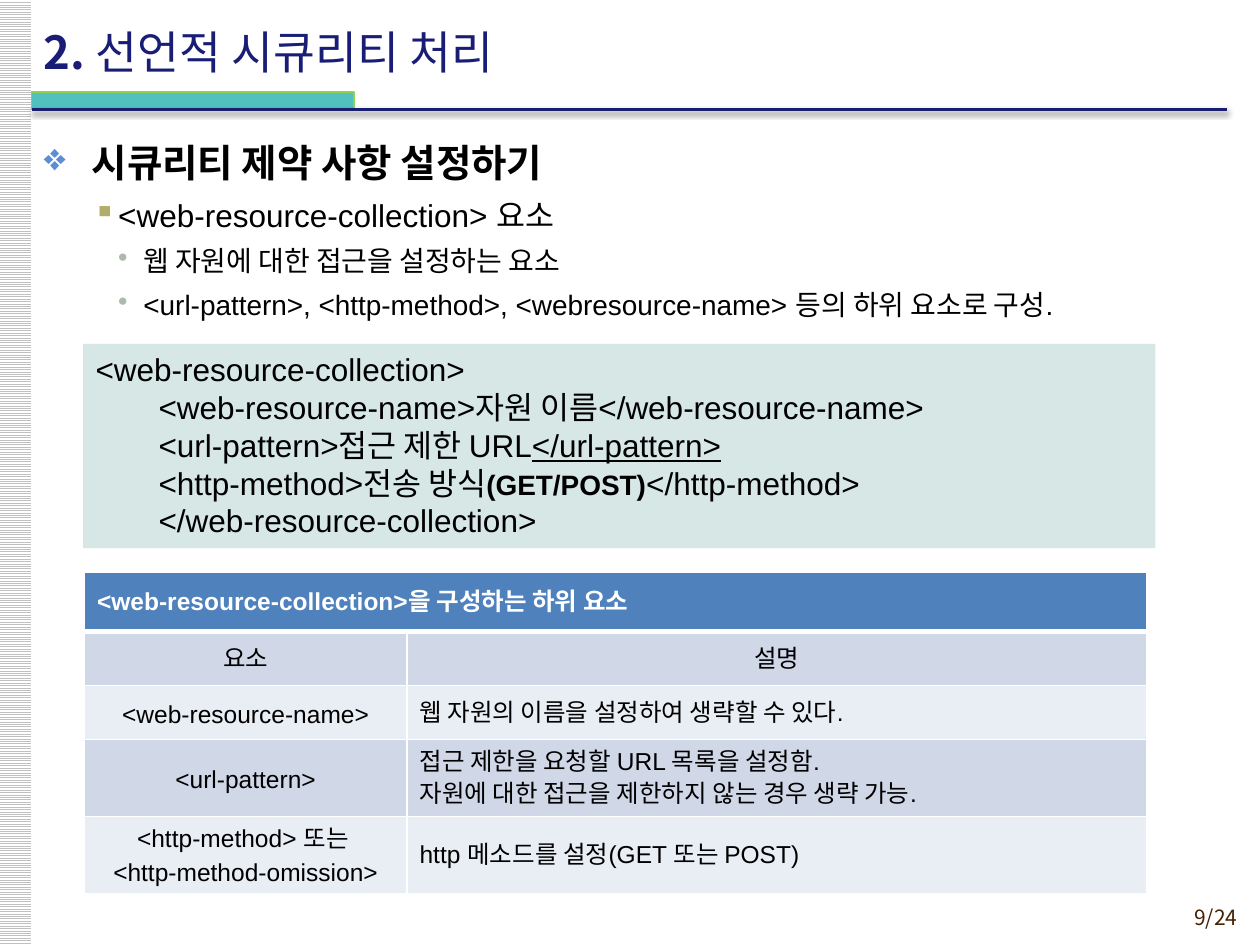
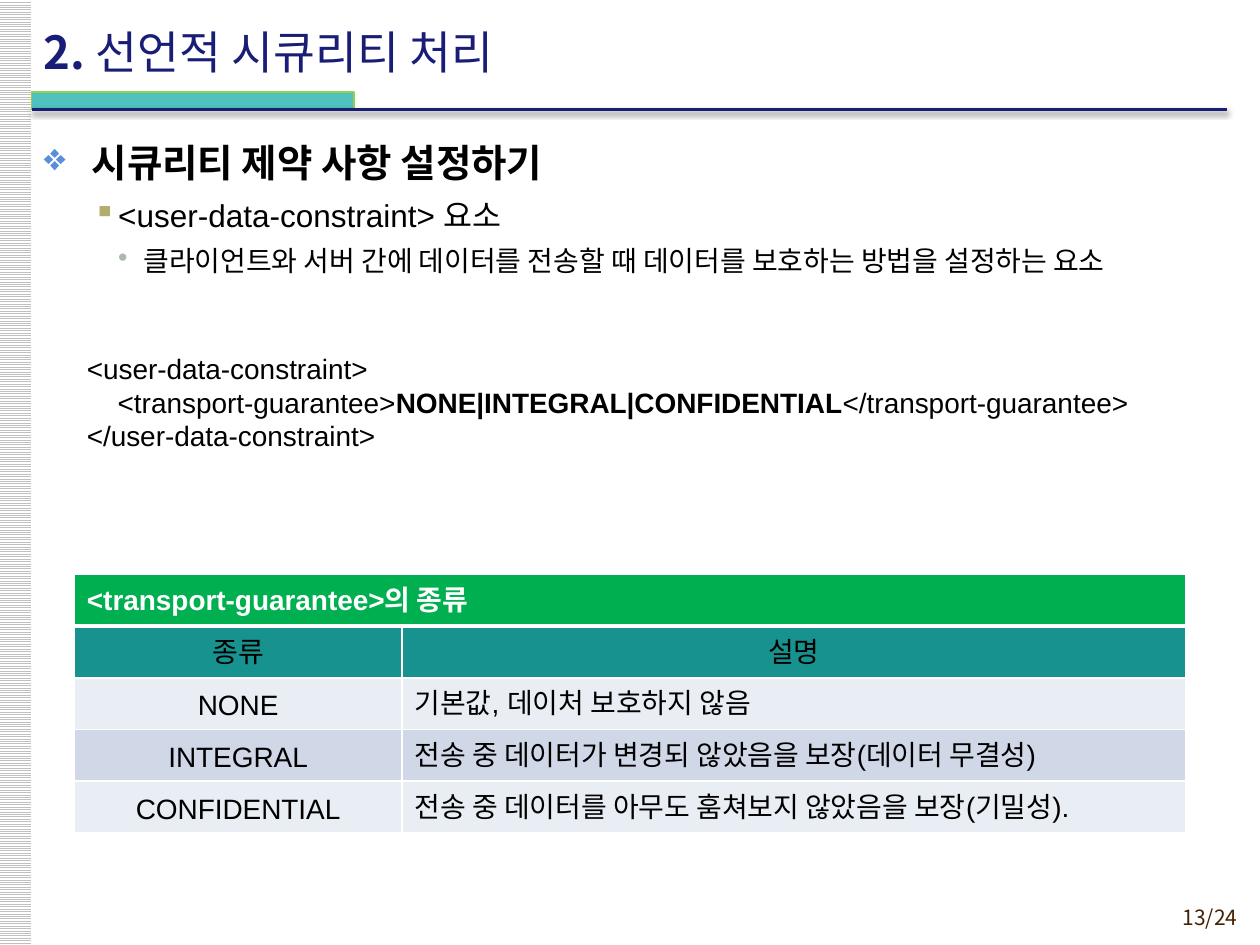
"""Build two slides on declarative security: shared frame, outline, code sample and element table."""
from dataclasses import dataclass
from typing import Optional, Sequence, Union

from lxml.etree import SubElement
from pptx import Presentation
from pptx.dml.color import RGBColor
from pptx.enum.dml import MSO_PATTERN
from pptx.enum.shapes import MSO_CONNECTOR, MSO_SHAPE
from pptx.enum.text import MSO_ANCHOR as Anchor, PP_ALIGN as Align
from pptx.oxml.ns import qn
from pptx.util import Emu, Pt

PX = 9144
LATIN, KOREAN = "Arial", "Noto Sans CJK KR"
BLACK, WHITE, NAVY, BROWN = "000000", "FFFFFF", "191D76", "452103"
TEAL, LIME, RULE, STRIPE = "50C1BE", "92D050", "191E70", "C0C0C0"
CODE_FILL = "D6E7E6"
ROW_LIGHT, ROW_DARK = "E9EDF4", "D0D8E8"
LOOSE, TIGHT = 1.3, 1.2


@dataclass(frozen=True)
class Run:
    text: str
    bold: bool = False
    underline: bool = False
    size: Optional[float] = None


@dataclass(frozen=True)
class Level:
    bullet: str
    color: str
    size: int
    margin: int
    hang: int
    bold: bool = False


@dataclass(frozen=True)
class Box:
    left: int
    top: int
    width: int
    height: int

    def emu(self) -> tuple:
        return tuple(px(n) for n in (self.left, self.top, self.width, self.height))


@dataclass(frozen=True)
class CodeLine:
    runs: tuple
    indent: int = 0


@dataclass(frozen=True)
class Code:
    box: Box
    lines: tuple
    size: int
    fill: Optional[str] = None


@dataclass(frozen=True)
class ElementTable:
    box: Box
    columns: tuple
    heights: tuple
    caption: str
    caption_fill: str
    head_fill: str
    size: int
    rows: tuple


@dataclass(frozen=True)
class Page:
    number: str
    outline: tuple
    code: Code
    table: ElementTable


Text = Union[str, Sequence[Run]]

LEVELS = (
    Level("❖", "5A8DDC", 22, 38, 38, bold=True),
    Level("▪", "B1AE6B", 18, 59, 20),
    Level("•", "ADB9AD", 16, 79, 20),
)


def px(length: int) -> Emu:
    """Turn px into EMU."""
    return Emu(length * PX)


def rgb(value: str) -> RGBColor:
    """Turn a hex string into a colour."""
    return RGBColor.from_string(value)


def write(frame, text: Text, *, size: float, color: str = BLACK, bold: bool = False,
          latin: str = LATIN, align=Align.LEFT, spacing: Optional[float] = None,
          margin: int = 0, level: Optional[Level] = None) -> None:
    """Add one formatted paragraph to a text frame, reusing its empty first one."""
    first = not frame.paragraphs[0].runs
    paragraph = frame.paragraphs[0] if first else frame.add_paragraph()
    properties = paragraph._p.get_or_add_pPr()
    properties.set("marL", str(px(level.margin if level else margin)))
    properties.set("indent", str(px(-level.hang if level else 0)))
    if level:
        tint = SubElement(properties, qn("a:buClr"))
        SubElement(tint, qn("a:srgbClr"), val=level.color)
        SubElement(properties, qn("a:buChar"), char=level.bullet)
        paragraph.space_before = Pt(0 if first else size * 0.2)
        paragraph.space_after = Pt(1)
    paragraph.alignment = align
    if spacing:
        paragraph.line_spacing = Pt(round(size * spacing, 1))
    for part in [Run(text, bold)] if isinstance(text, str) else text:
        run = paragraph.add_run()
        run.text = part.text
        font = run.font
        font.name, font.size = latin, Pt(part.size or size)
        font.bold, font.underline = part.bold, part.underline
        font.color.rgb = rgb(color)
        SubElement(run._r.get_or_add_rPr(), qn("a:ea"), typeface=KOREAN)


def text_frame(slide, box: Box, anchor=Anchor.TOP):
    """Add a wrapping text box and return its frame."""
    frame = slide.shapes.add_textbox(*box.emu()).text_frame
    frame.word_wrap = True
    frame.vertical_anchor = anchor
    return frame


def rectangle(slide, box: Box, fill: Optional[str] = None, line: Optional[str] = None):
    """Add a flat rectangle, with a thin outline if a line colour is given."""
    shape = slide.shapes.add_shape(MSO_SHAPE.RECTANGLE, *box.emu())
    shape.shadow.inherit = False
    if fill:
        shape.fill.solid()
        shape.fill.fore_color.rgb = rgb(fill)
    if line:
        shape.line.color.rgb = rgb(line)
        shape.line.width = Pt(0.75)
    else:
        shape.line.fill.background()
    return shape


def draw_frame(slide, number: str) -> None:
    """Draw the striped margin, title, title rule and page number."""
    stripes = rectangle(slide, Box(-1, 0, 26, 750)).fill
    stripes.patterned()
    stripes.pattern = MSO_PATTERN.LIGHT_HORIZONTAL
    stripes.fore_color.rgb, stripes.back_color.rgb = rgb(STRIPE), rgb(WHITE)

    write(text_frame(slide, Box(886, 713, 106, 29)), number,
          size=12, color=BROWN, latin=KOREAN, align=Align.RIGHT)

    rectangle(slide, Box(25, 73, 256, 14), TEAL, LIME)
    rule = slide.shapes.add_connector(
        MSO_CONNECTOR.STRAIGHT, px(25), px(87), px(974), px(87))
    rule.line.color.rgb = rgb(RULE)
    rule.line.width = Pt(2)
    effects = SubElement(rule._element.spPr, qn("a:effectLst"))
    shadow = SubElement(effects, qn("a:outerShdw"), blurRad=str(Pt(3.1)),
                        dist=str(Pt(1.6)), dir="5400000", rotWithShape="0")
    shade = SubElement(shadow, qn("a:srgbClr"), val=BLACK)
    SubElement(shade, qn("a:alpha"), val="38000")

    write(text_frame(slide, Box(25, 9, 827, 63), Anchor.MIDDLE),
          (Run("2. ", bold=True), Run("선언적 시큐리티 처리")),
          size=26, color=NAVY, latin=KOREAN)


def draw_outline(slide, outline: tuple) -> None:
    """Write the bulleted outline; each entry is a depth and its text."""
    frame = text_frame(slide, Box(25, 102, 950, 625))
    for depth, text in outline:
        level = LEVELS[depth]
        write(frame, text, size=level.size, bold=level.bold, spacing=LOOSE, level=level)


def draw_code(slide, code: Code) -> None:
    """Write the code sample, on a tinted panel if it has a fill."""
    if code.fill:
        frame = rectangle(slide, code.box, code.fill).text_frame
        frame.word_wrap = True
        frame.vertical_anchor = Anchor.TOP
    else:
        frame = text_frame(slide, code.box)
    for line in code.lines:
        write(frame, line.runs, size=code.size, spacing=TIGHT, margin=line.indent)


def style_cell(cell, fill: str, bottom: float = 1) -> None:
    """Give a cell white borders, a fill and middle anchoring."""
    properties = cell._tc.get_or_add_tcPr()
    for side, width in (("L", 1), ("R", 1), ("T", 1), ("B", bottom)):
        border = SubElement(properties, qn(f"a:ln{side}"), w=str(Pt(width)))
        SubElement(SubElement(border, qn("a:solidFill")), qn("a:srgbClr"), val=WHITE)
    cell.fill.solid()
    cell.fill.fore_color.rgb = rgb(fill)
    cell.vertical_anchor = Anchor.MIDDLE


def draw_table(slide, spec: ElementTable) -> None:
    """Draw a captioned two-column table with alternating rows."""
    table = slide.shapes.add_table(
        len(spec.heights), len(spec.columns), *spec.box.emu()).table
    for column, width in zip(table.columns, spec.columns):
        column.width = px(width)
    for row, height in zip(table.rows, spec.heights):
        row.height = px(height)

    caption = table.cell(0, 0)
    caption.merge(table.cell(0, 1))
    for cell in table.rows[0].cells:
        style_cell(cell, spec.caption_fill, bottom=3)
    write(caption.text_frame, spec.caption, size=spec.size, color=WHITE,
          bold=True, spacing=LOOSE)

    for r, texts in enumerate(spec.rows, start=1):
        fill = spec.head_fill if r == 1 else (ROW_DARK if r % 2 else ROW_LIGHT)
        for c, text in enumerate(texts):
            cell = table.cell(r, c)
            style_cell(cell, fill)
            centred = r == 1 or c == 0
            for line in text.split("\n"):
                write(cell.text_frame, line, size=spec.size, spacing=LOOSE,
                      align=Align.CENTER if centred else Align.LEFT)


HEADING = (0, "시큐리티 제약 사항 설정하기")

PAGES = (
    Page(
        "9/24",
        (HEADING,
         (1, "<web-resource-collection> 요소"),
         (2, "웹 자원에 대한 접근을 설정하는 요소"),
         (2, "<url-pattern>, <http-method>, <webresource-name> 등의 하위 요소로 구성.")),
        Code(Box(66, 273, 851, 162), (
            CodeLine((Run("<web-resource-collection>"),)),
            CodeLine((Run("<web-resource-name>자원 이름</web-resource-name>"),), 50),
            CodeLine((Run("<url-pattern>접근 제한 URL"),
                      Run("</url-pattern>", underline=True)), 50),
            CodeLine((Run("<http-method>전송 방식"),
                      Run("(GET/POST)", bold=True, size=16),
                      Run("</http-method>")), 50),
            CodeLine((Run("</web-resource-collection>"),), 50),
        ), 18, CODE_FILL),
        ElementTable(
            Box(67, 454, 843, 255), (256, 587), (47, 43, 43, 61, 61),
            "<web-resource-collection>을 구성하는 하위 요소", "4F81BD", ROW_DARK, 14,
            (("요소", "설명"),
             ("<web-resource-name>", "웹 자원의 이름을 설정하여 생략할 수 있다."),
             ("<url-pattern>", "접근 제한을 요청할 URL 목록을 설정함.\n"
                               "자원에 대한 접근을 제한하지 않는 경우 생략 가능."),
             ("<http-method> 또는 \n<http-method-omission>",
              "http 메소드를 설정(GET 또는 POST)"))),
    ),
    Page(
        "13/24",
        (HEADING,
         (1, "<user-data-constraint> 요소"),
         (2, "클라이언트와 서버 간에 데이터를 전송할 때 데이터를 보호하는 방법을 설정하는 요소")),
        Code(Box(59, 274, 881, 118), (
            CodeLine((Run("<user-data-constraint>"),)),
            CodeLine((Run("    <transport-guarantee>"),
                      Run("NONE|INTEGRAL|CONFIDENTIAL", bold=True),
                      Run("</transport-guarantee>"))),
            CodeLine((Run("</user-data-constraint>"),)),
        ), 16),
        ElementTable(
            Box(59, 456, 882, 205), (260, 622), (41,) * 5,
            "<transport-guarantee>의 종류", "00B050", "17928F", 16,
            (("종류", "설명"),
             ("NONE", "기본값, 데이처 보호하지 않음"),
             ("INTEGRAL", "전송 중 데이터가 변경되 않았음을 보장(데이터 무결성)"),
             ("CONFIDENTIAL", "전송 중 데이터를 아무도 훔쳐보지 않았음을 보장(기밀성)."))),
    ),
)


def main() -> None:
    """Build and save the presentation."""
    deck = Presentation()
    deck.slide_width, deck.slide_height = px(1000), px(750)
    for page in PAGES:
        slide = deck.slides.add_slide(deck.slide_layouts[6])
        draw_frame(slide, page.number)
        draw_outline(slide, page.outline)
        draw_code(slide, page.code)
        draw_table(slide, page.table)
    deck.save("out.pptx")


if __name__ == "__main__":
    main()
